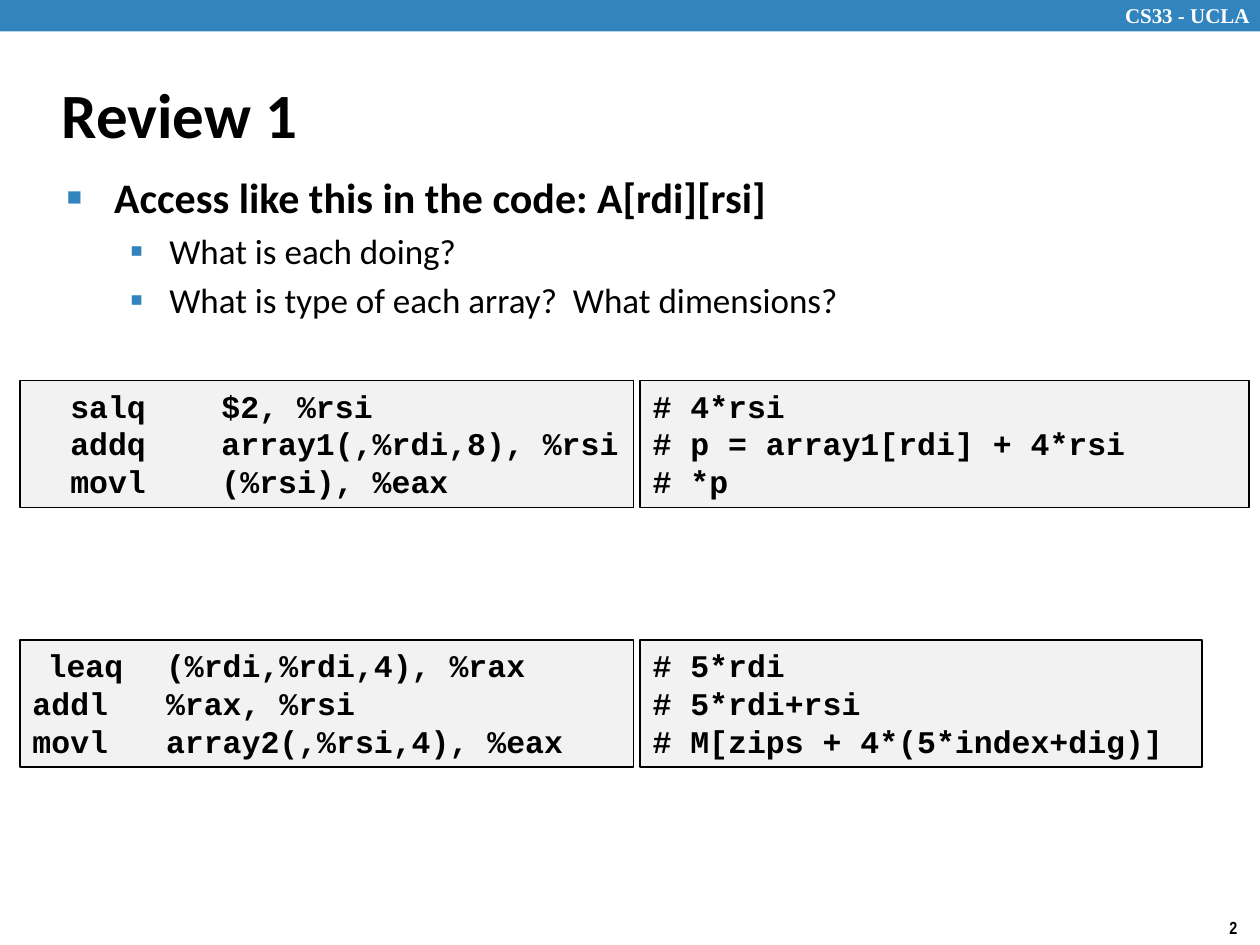
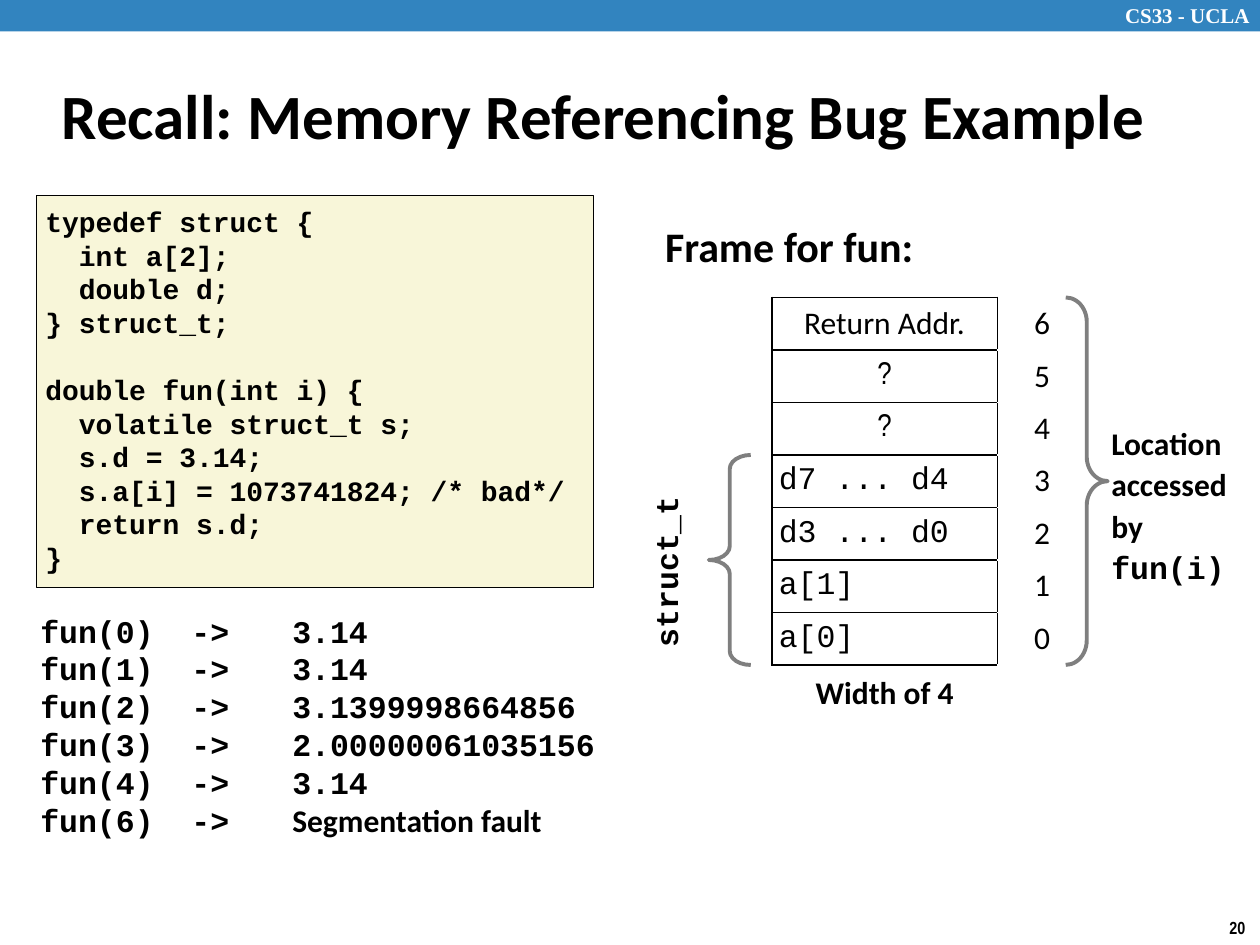
from dataclasses import dataclass
from lxml.etree import SubElement
from pptx import Presentation
from pptx.dml.color import RGBColor
from pptx.enum.shapes import MSO_SHAPE
from pptx.enum.text import MSO_ANCHOR, MSO_AUTO_SIZE, PP_ALIGN
from pptx.oxml.ns import qn
from pptx.util import Pt


@dataclass(frozen=True)
class Theme:
    blue: RGBColor = RGBColor(0x32, 0x84, 0xBF)
    black: RGBColor = RGBColor(0, 0, 0)
    white: RGBColor = RGBColor(255, 255, 255)
    grey_fill: RGBColor = RGBColor(0xF2, 0xF2, 0xF2)
    cream_fill: RGBColor = RGBColor(0xF8, 0xF6, 0xD9)
    brace: RGBColor = RGBColor(0x7F, 0x7F, 0x7F)
    sans: str = "Calibri"
    mono: str = "Courier New"
    narrow: str = "Arial Narrow"
    serif: str = "Times New Roman"
    title_size: int = 36
    heading_size: int = 24
    subpoint_size: int = 20
    text_size: int = 18
    listing_size: int = 16
    course_size: int = 12
    number_size: int = 10


theme = Theme()


def write(frame, lines, font, size, color=theme.black, bold=True, margins=(7.2, 3.6), tabs=()):
    """Fill a text frame with one left-aligned paragraph per line."""
    frame.word_wrap = True
    frame.auto_size = MSO_AUTO_SIZE.NONE
    frame.vertical_anchor = MSO_ANCHOR.TOP
    frame.margin_left = frame.margin_right = Pt(margins[0])
    frame.margin_top = frame.margin_bottom = Pt(margins[1])
    frame.text = "\n".join(lines)
    for para in frame.paragraphs:
        para.alignment = PP_ALIGN.LEFT
        if tabs:
            stops = SubElement(para._p.get_or_add_pPr(), qn("a:tabLst"))
            for stop in tabs:
                SubElement(stops, qn("a:tab"), pos=str(Pt(stop)), algn="l")
        para.font.name = font
        para.font.size = Pt(size)
        para.font.bold = bold
        para.font.color.rgb = color
    return frame.paragraphs


def add_shape(page, kind, place, fill=None, line=None, line_width=1):
    shape = page.shapes.add_shape(kind, *map(Pt, place))
    shape.shadow.inherit = False
    if fill is None:
        shape.fill.background()
    else:
        shape.fill.solid()
        shape.fill.fore_color.rgb = fill
    if line is None:
        shape.line.fill.background()
    else:
        shape.line.color.rgb = line
        shape.line.width = Pt(line_width)
    return shape


deck = Presentation()
deck.slide_width, deck.slide_height = Pt(720), Pt(540)

# Band, course name, page number and title of every slide
pages = []
for layout, number, title, place in (
    (1, "2", "Review 1", (28, 34.5, 598, 60)),
    (5, "20", "Recall: Memory Referencing Bug Example", (28, 4.5, 674, 121.5)),
):
    page = deck.slides.add_slide(deck.slide_layouts[layout])
    pages.append(page)
    add_shape(page, MSO_SHAPE.RECTANGLE, (0, 0, 720, 18), theme.blue)
    course = page.shapes.add_textbox(Pt(635.8), Pt(-2), Pt(89.3), Pt(21.6))
    write(course.text_frame, ["CS33 - UCLA"], theme.serif, theme.course_size, theme.white)
    page_number = page.shapes.add_textbox(Pt(695.5), Pt(520.5), Pt(24.5), Pt(19.5))
    write(page_number.text_frame, [number], theme.narrow, theme.number_size)
    heading = page.shapes.title
    heading.left, heading.top, heading.width, heading.height = map(Pt, place)
    write(heading.text_frame, [title], theme.sans, theme.title_size)
    heading.text_frame.vertical_anchor = MSO_ANCHOR.MIDDLE
review, bug = pages

# Review 1: questions
body = review.placeholders[1]
body.left, body.top, body.width, body.height = Pt(31), Pt(94.5), Pt(622), Pt(98)
questions = body.text_frame
questions.word_wrap = True
questions.auto_size = MSO_AUTO_SIZE.NONE
points = (
    (0, "Access like this in the code: A[rdi][rsi]"),
    (1, "What is each doing?"),
    (1, "What is type of each array?  What dimensions?"),
)
bullet_styles = (
    ("■", 27, 27, 60000, theme.heading_size),
    ("▪", 58.5, 22.5, 110000, theme.subpoint_size),
)
questions.text = "\n".join(text for _, text in points)
for index, (para, (level, _)) in enumerate(zip(questions.paragraphs, points)):
    symbol, margin, hanging, percent, size = bullet_styles[level]
    para.level = level
    para.space_before = Pt(4 if index else 0)
    properties = para._p.get_or_add_pPr()
    properties.set("marL", str(Pt(margin)))
    properties.set("indent", str(-Pt(hanging)))
    bullet_color = SubElement(properties, qn("a:buClr"))
    SubElement(bullet_color, qn("a:srgbClr"), val=str(theme.blue))
    SubElement(properties, qn("a:buSzPct"), val=str(percent))
    SubElement(properties, qn("a:buChar"), char=symbol)
    para.font.name = theme.sans
    para.font.size = Pt(size)
    para.font.bold = level == 0
    para.font.color.rgb = theme.black

# Review 1: assembly on the left, its meaning on the right
assembly_left, meaning_left = 11.5, 365.8
for left, top, width, tabs, lines in (
    (assembly_left, 217.4, 350.6, (), (
        "  salq    $2, %rsi",
        "  addq    array1(,%rdi,8), %rsi",
        "  movl    (%rsi), %eax",
    )),
    (meaning_left, 217.4, 348, (), ("# 4*rsi", "# p = array1[rdi] + 4*rsi", "# *p")),
    (assembly_left, 365.8, 350.6, (8.64, 76.3), (
        "\tleaq\t(%rdi,%rdi,4), %rax",
        "addl\t%rax, %rsi",
        "movl\tarray2(,%rsi,4), %eax",
    )),
    (meaning_left, 365.8, 321, (), ("# 5*rdi", "# 5*rdi+rsi", "# M[zips + 4*(5*index+dig)]")),
):
    box = add_shape(review, MSO_SHAPE.RECTANGLE, (left, top, width, 72.7), theme.grey_fill, theme.black)
    write(box.text_frame, lines, theme.mono, theme.text_size, tabs=tabs)

# Bug example: results of each call
results = add_shape(bug, MSO_SHAPE.RECTANGLE, (20, 346.5, 337, 144), theme.white)
calls = (
    (0, "3.14"), (1, "3.14"), (2, "3.1399998664856"),
    (3, "2.00000061035156"), (4, "3.14"), (6, ""),
)
result_lines = write(
    results.text_frame, [f"fun({index})\t->\t{value}" for index, value in calls],
    theme.mono, theme.text_size, margins=(3, 3), tabs=(86.4, 144),
)
fault = result_lines[-1].add_run()
fault.text = "Segmentation fault"
fault.font.name = theme.sans

# Bug example: source code
listing = add_shape(bug, MSO_SHAPE.RECTANGLE, (21, 112, 318, 224), theme.cream_fill, theme.black, 0.5)
source_lines = write(listing.text_frame, (
    "typedef struct {",
    "  int a[2];",
    "  double d;",
    "} struct_t;",
    "double fun(int i) {",
    "  volatile struct_t s;",
    "  s.d = 3.14;",
    "  s.a[i] = 1073741824; /* bad*/",
    "  return s.d;",
    "}",
), theme.mono, theme.listing_size, margins=(5, 5))
source_lines[4].space_before = Pt(19.2)

# Bug example: stack frame
frame_left, frame_top, row_height = 441, 170, 30
cells = (
    ("Return Addr.", theme.sans), ("?", theme.narrow), ("?", theme.narrow),
    ("d7 ... d4", theme.mono), ("d3 ... d0", theme.mono),
    ("a[1]", theme.mono), ("a[0]", theme.mono),
)
frame_height = row_height * len(cells)
stack = bug.shapes.add_table(
    len(cells), 2, Pt(frame_left), Pt(frame_top), Pt(163), Pt(frame_height)
).table
stack.first_row = stack.horz_banding = False
stack.columns[0].width, stack.columns[1].width = Pt(129), Pt(34)
for row, (content, font) in enumerate(cells):
    stack.rows[row].height = Pt(row_height)
    location = str(len(cells) - 1 - row)
    content_align = PP_ALIGN.LEFT if font == theme.mono else PP_ALIGN.CENTER
    for column, (text, face, align, edges) in enumerate((
        (content, font, content_align, ("lnL", "lnR", "lnT", "lnB")),
        (location, theme.sans, PP_ALIGN.RIGHT, ("lnL",)),
    )):
        cell = stack.cell(row, column)
        para = write(cell.text_frame, [text], face, theme.text_size, bold=False)[0]
        para.alignment = align
        cell.vertical_anchor = MSO_ANCHOR.MIDDLE
        cell.margin_left = cell.margin_right = cell.margin_top = cell.margin_bottom = Pt(4)
        cell_properties = cell._tc.get_or_add_tcPr()
        for edge in edges:
            border = SubElement(cell_properties, qn(f"a:{edge}"), w=str(Pt(1)))
            border_fill = SubElement(border, qn("a:solidFill"))
            SubElement(border_fill, qn("a:srgbClr"), val=str(theme.black))
        cell.fill.background()

# Bug example: braces over the whole frame and over the four rows of the struct
struct_height = 4 * row_height
struct_top = frame_top + frame_height - struct_height
for kind, left, top, height, curve in (
    (MSO_SHAPE.RIGHT_BRACE, 609, frame_top, frame_height, 0.58),
    (MSO_SHAPE.LEFT_BRACE, 405, struct_top, struct_height, 0.33),
):
    brace = add_shape(bug, kind, (left, top, 24, height), line=theme.brace, line_width=2.25)
    brace.adjustments[0] = curve

# Bug example: labels
for place, text, size, font, margins, rotation in (
    ((380, 126, 146, 29), "Frame for fun:", theme.heading_size, theme.sans, (0, 0), 0),
    ((329.5, 311.5, 102, 29), "struct_t", theme.text_size, theme.mono, (7.2, 3.6), 270),
    ((459, 381, 96, 29), "Width of 4", theme.text_size, theme.sans, (7.2, 3.6), 0),
):
    label = bug.shapes.add_textbox(*map(Pt, place))
    label.rotation = rotation
    write(label.text_frame, [text], font, size, margins=margins)

access = bug.shapes.add_textbox(Pt(632), Pt(237), Pt(82), Pt(51))
access_para = write(
    access.text_frame, ["Location accessed by "], theme.sans, theme.text_size, margins=(3, 3)
)[0]
access_para.line_spacing = 1.1
call = access_para.add_run()
call.text = "fun(i)"
call.font.name = theme.mono

deck.save("out.pptx")
